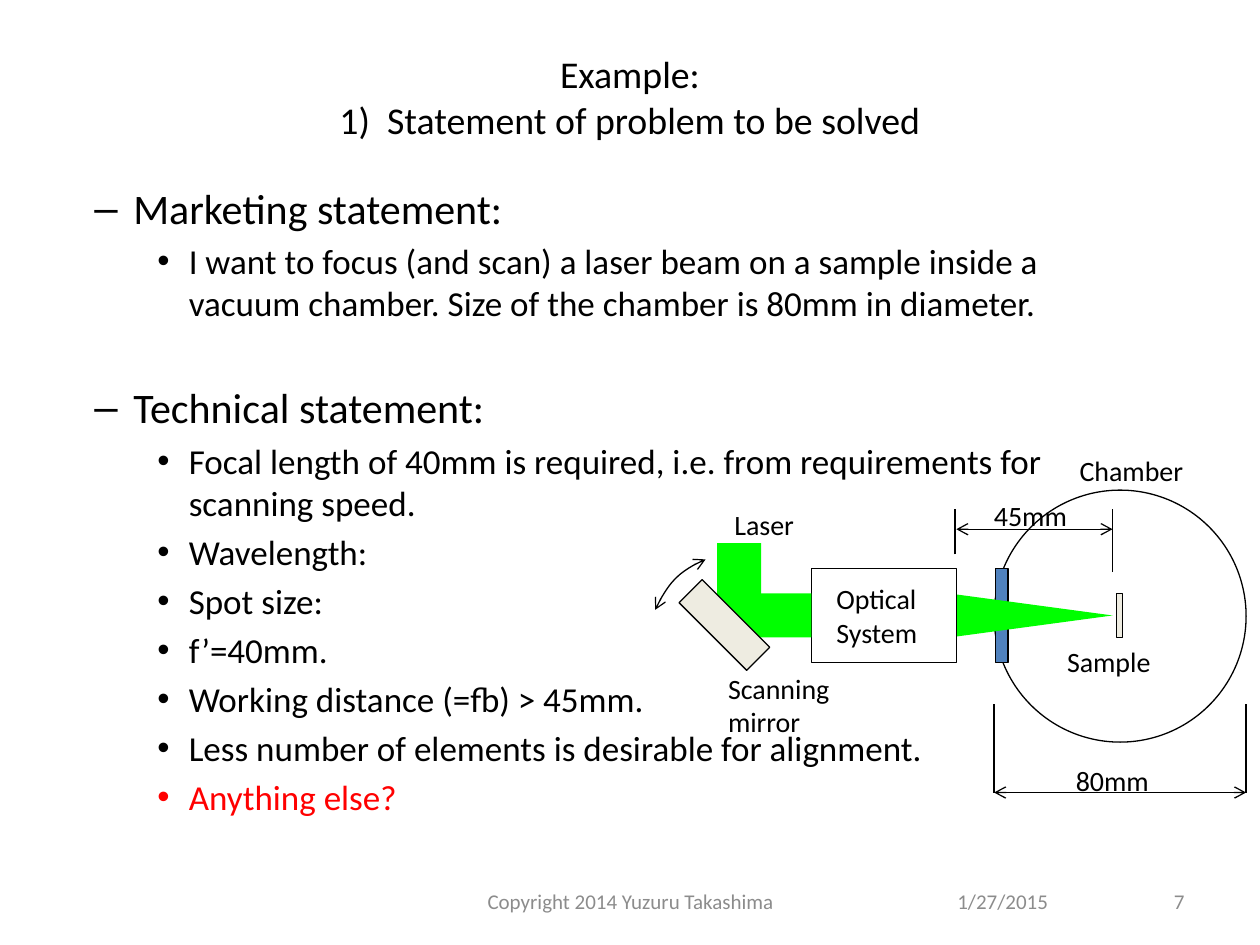
from dataclasses import dataclass

from lxml.etree import SubElement
from pptx import Presentation
from pptx.dml.color import RGBColor
from pptx.enum.shapes import MSO_CONNECTOR, MSO_SHAPE
from pptx.enum.text import MSO_ANCHOR, MSO_AUTO_SIZE, PP_ALIGN
from pptx.oxml.ns import qn
from pptx.util import Inches, Pt

COLORS = {
    "text": "000000",
    "muted": "8C8C8C",
    "alert": "FF0000",
    "paper": "FFFFFF",
    "window": "4F81BD",
    "solid": "EEECE1",
    "beam": "00FF00",
}
FONT = "Calibri"
STATEMENTS = [
    ("Marketing statement:", [
        "I want to focus (and scan) a laser beam on a sample inside a vacuum chamber. "
        "Size of the chamber is 80mm in diameter.",
    ]),
    ("Technical statement:", [
        "Focal length of 40mm is required, i.e. from requirements for scanning speed.",
        "Wavelength:",
        "Spot size:",
        "f’=40mm.",
        "Working distance (=fb) > 45mm.",
        "Less number of elements is desirable for alignment.",
        "Anything else?",
    ]),
]


@dataclass
class Box:
    left: float
    top: float
    width: float
    height: float

    def inner(self, left, top, width, height):
        return Box(self.left + left, self.top + top, width, height)

    def point(self, x, y):
        return Inches(self.left + x), Inches(self.top + y)

    def lengths(self):
        return [Inches(v) for v in (self.left, self.top, self.width, self.height)]


def rgb(name):
    return RGBColor.from_string(COLORS[name])


def style_runs(paragraph, size, color):
    for run in paragraph.runs:
        run.font.name = FONT
        run.font.size = Pt(size)
        run.font.color.rgb = rgb(color)


def add_text(shapes, box, text, size, color="text", align=PP_ALIGN.LEFT, wrap=True):
    frame = shapes.add_textbox(*box.lengths()).text_frame
    frame.text = text
    frame.word_wrap = wrap
    if wrap:
        frame.vertical_anchor = MSO_ANCHOR.MIDDLE
    else:
        frame.auto_size = MSO_AUTO_SIZE.SHAPE_TO_FIT_TEXT
    for paragraph in frame.paragraphs:
        paragraph.alignment = align
        style_runs(paragraph, size, color)
    return frame


def add_bullet(paragraph, mark, margin, hanging):
    properties = paragraph._p.get_or_add_pPr()
    properties.set("marL", str(Inches(margin)))
    properties.set("indent", str(-Inches(hanging)))
    SubElement(properties, qn("a:buFont"), typeface="Arial")
    SubElement(properties, qn("a:buChar"), char=mark)


def add_part(shapes, kind, box, fill, outlined=True, rotation=0):
    part = shapes.add_shape(kind, *box.lengths())
    part.shadow.inherit = False
    part.rotation = rotation
    part.fill.solid()
    part.fill.fore_color.rgb = rgb(fill)
    if outlined:
        part.line.color.rgb = rgb("text")
        part.line.width = Pt(0.75)
    else:
        part.line.fill.background()


def add_arrowheads(line):
    outline = line.get_or_add_ln()
    for end in ("a:headEnd", "a:tailEnd"):
        SubElement(outline, qn(end), type="arrow")


def add_line(shapes, start, end, arrows=False):
    line = shapes.add_connector(MSO_CONNECTOR.STRAIGHT, *start, *end)
    line.line.color.rgb = rgb("text")
    line.line.width = Pt(0.75)
    if arrows:
        add_arrowheads(line.line._parent if hasattr(line.line, "_parent") else line)
    SubElement(line._element.spPr, qn("a:effectLst"))


def add_scan_arc(shapes, box):
    start, *curve = [box.point(*p) for p in ((0.4, 0.89), (0.22, 0.96), (0.08, 1.11), (0, 1.29))]
    builder = shapes.build_freeform(*start)
    builder.add_line_segments(curve, close=False)
    arc = builder.convert_to_shape()
    arc.shadow.inherit = False
    arc.fill.background()
    arc.line.color.rgb = rgb("text")
    arc.line.width = Pt(0.75)
    add_arrowheads(arc)
    outline = next(arc._element.iter(qn("a:path")))
    bezier = SubElement(outline, qn("a:cubicBezTo"))
    for segment in outline.findall(qn("a:lnTo")):
        bezier.append(segment[0])
        outline.remove(segment)


def add_title(slide, box):
    frame = add_text(slide.shapes, box, "Example:\v1)  Statement of problem to be solved",
                     21.6, align=PP_ALIGN.CENTER)
    frame.margin_bottom = Inches(0.37)


def add_statements(slide, box):
    frame = slide.shapes.add_textbox(*box.lengths()).text_frame
    frame.word_wrap = True
    heading = frame.paragraphs[0]
    for index, (statement, points) in enumerate(STATEMENTS):
        if index:
            heading = frame.add_paragraph()
            heading.space_before = Pt(33)
        heading.text = statement
        add_bullet(heading, "–", 0.81, 0.31)
        style_runs(heading, 24, "text")
        for point in points:
            item = frame.add_paragraph()
            item.text = point
            item.space_before = Pt(4)
            add_bullet(item, "•", 1.25, 0.25)
            style_runs(item, 20, "alert" if point == "Anything else?" else "text")


def add_setup(slide, box):
    shapes = slide.shapes.add_group_shape().shapes
    rectangle = MSO_SHAPE.RECTANGLE
    parts = [
        (MSO_SHAPE.OVAL, (2.69, 0.34, 2, 2), "paper", True, 0),
        (rectangle, (2.7, 0.96, 0.1, 0.75), "window", True, 0),
        (rectangle, (3.66, 1.16, 0.05, 0.35), "solid", True, 0),
        (MSO_SHAPE.ISOSCELES_TRIANGLE, (2.57, 0.5, 0.45, 1.67), "beam", False, 90),
        (rectangle, (1.24, 0.96, 1.15, 0.75), "paper", True, 0),
        (rectangle, (0.49, 1.16, 0.75, 0.35), "beam", False, 0),
        (rectangle, (0.29, 0.96, 0.75, 0.35), "beam", False, 90),
        (rectangle, (0.42, 1.03, 0.26, 0.76), "solid", True, 315),
    ]
    for kind, place, fill, outlined, rotation in parts:
        add_part(shapes, kind, box.inner(*place), fill, outlined, rotation)

    lines = [
        ((2.69, 2.04), (2.69, 2.74), False),
        ((4.69, 2.04), (4.69, 2.74), False),
        ((2.69, 2.74), (4.69, 2.74), True),
        ((2.38, 0.85), (2.38, 0.49), False),
        ((3.63, 0.99), (3.63, 0.49), False),
        ((2.39, 0.65), (3.63, 0.65), True),
    ]
    for start, end, arrows in lines:
        add_line(shapes, box.point(*start), box.point(*end), arrows)
    add_scan_arc(shapes, box)

    labels = [
        ("80mm", (3.24, 2.46, 0.82, 0.37)),
        ("Optical\nSystem", (1.34, 1.02, 0.94, 0.64)),
        ("Laser", (0.53, 0.43, 0.76, 0.37)),
        ("Sample", (3.17, 1.52, 0.95, 0.37)),
        ("Chamber", (3.27, 0, 1.11, 0.37)),
        ("45mm", (2.59, 0.36, 0.82, 0.37)),
        ("Scanning\nmirror", (0.48, 1.73, 1.12, 0.64)),
    ]
    for label, place in labels:
        add_text(shapes, box.inner(*place), label, 16, wrap=False)


def add_footer(slide, box):
    entries = [
        ("1/27/2015", 4.08, 2.33, PP_ALIGN.LEFT),
        ("Copyright 2014 Yuzuru Takashima", 0, 3.17, PP_ALIGN.CENTER),
        ("7", 3.75, 2.33, PP_ALIGN.RIGHT),
    ]
    for text, left, width, align in entries:
        add_text(slide.shapes, box.inner(left, 0, width, box.height), text, 12, "muted", align)


def main():
    deck = Presentation()
    deck.slide_width, deck.slide_height = Inches(10), Inches(7.5)
    slide = deck.slides.add_slide(deck.slide_layouts[6])
    add_title(slide, Box(0.5, 0.3, 9, 1.25))
    add_statements(slide, Box(0.15, 1.4, 9, 5.3))
    add_setup(slide, Box(5.2, 3.55, 4.69, 2.83))
    add_footer(slide, Box(3.42, 6.95, 6.41, 0.4))
    deck.save("out.pptx")


if __name__ == "__main__":
    main()
